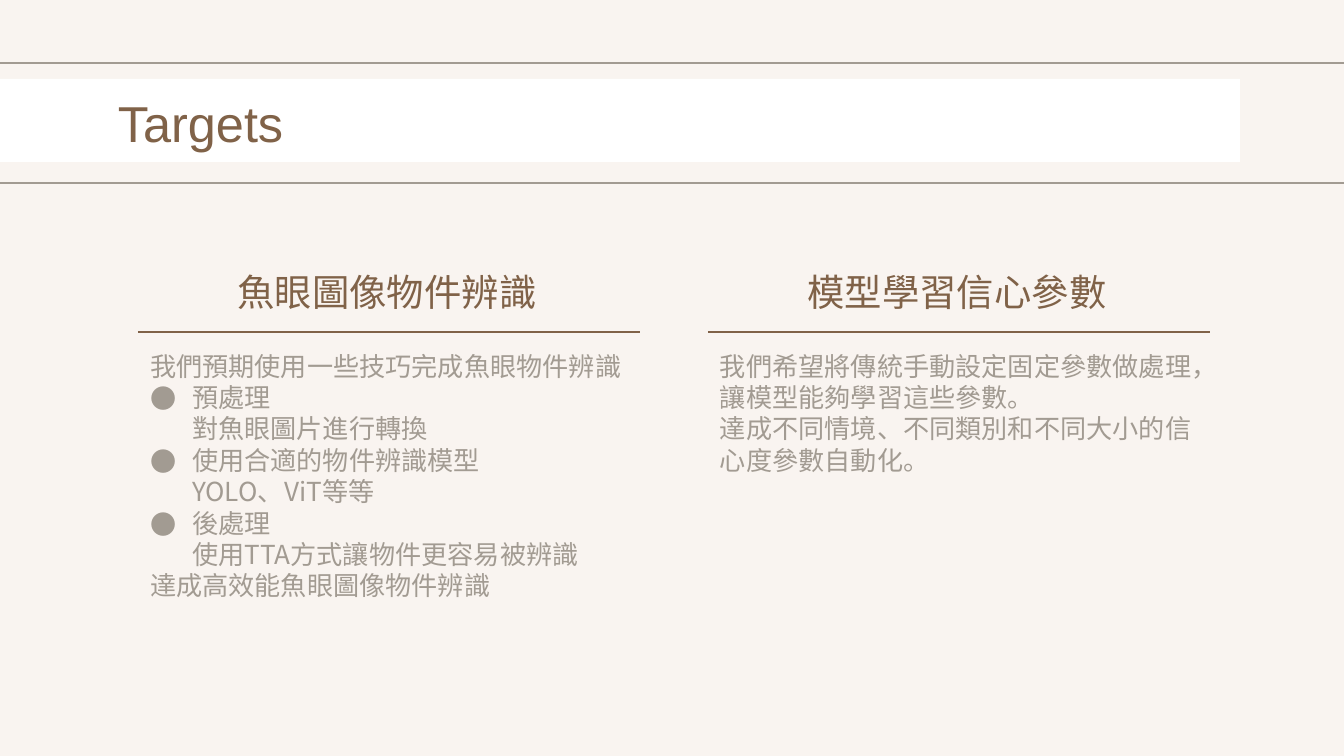
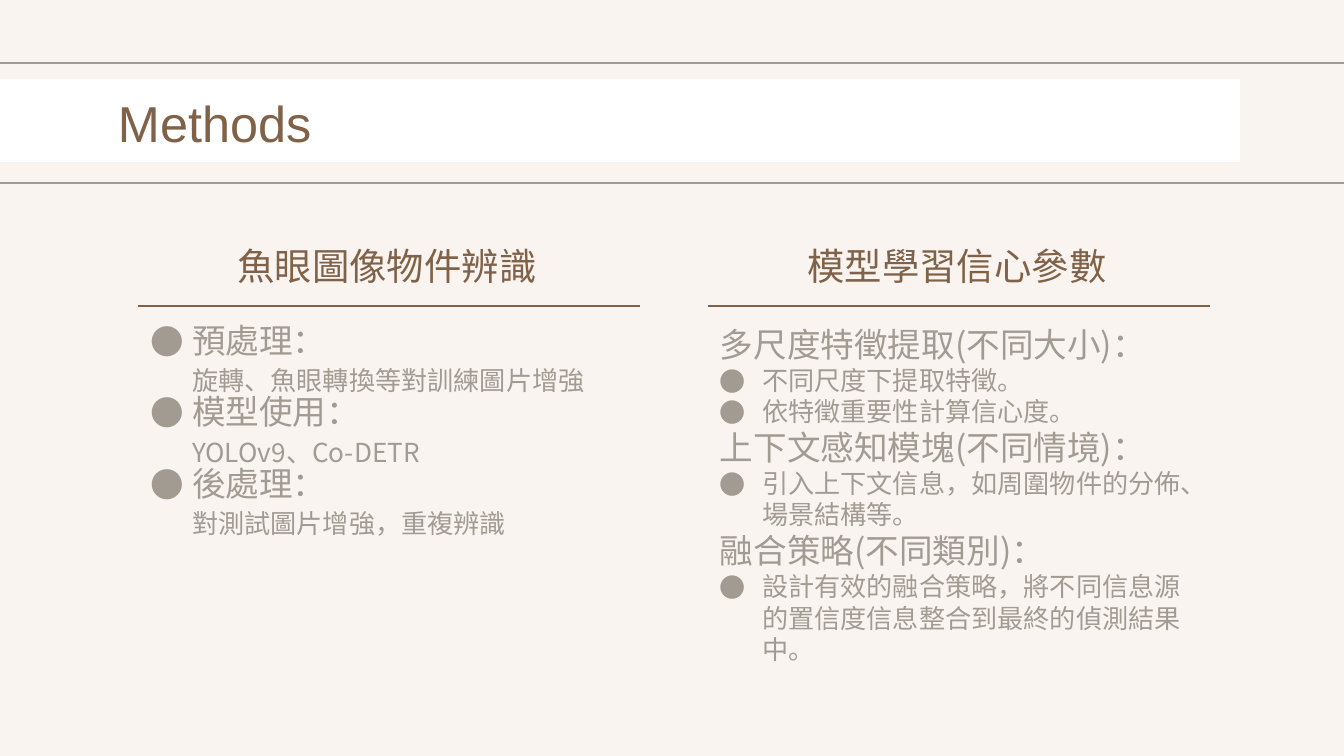
from lxml import etree
from pptx import Presentation
from pptx.dml.color import RGBColor
from pptx.enum.shapes import MSO_CONNECTOR, MSO_SHAPE
from pptx.enum.text import MSO_ANCHOR, MSO_AUTO_SIZE, PP_ALIGN
from pptx.oxml.ns import qn
from pptx.util import Pt

RECTANGLE = MSO_SHAPE.RECTANGLE
STRAIGHT = MSO_CONNECTOR.STRAIGHT
LEFT, CENTER = PP_ALIGN.LEFT, PP_ALIGN.CENTER
TOP, MIDDLE = MSO_ANCHOR.TOP, MSO_ANCHOR.MIDDLE
NO_AUTOFIT = MSO_AUTO_SIZE.NONE

CREAM = RGBColor(0xF9, 0xF4, 0xF0)
WHITE = RGBColor(0xFF, 0xFF, 0xFF)
BROWN = RGBColor(0x80, 0x62, 0x48)
GRAY = RGBColor(0xA2, 0x9B, 0x92)

TITLE_FONT = "Arial"
TEXT_FONT = "Noto Sans CJK TC"
LARGE, SMALL = 18, 14
LINE_FACTOR = 1.2

EMU_PER_PX = 914400 / 134.4
COMPARISON_LAYOUT = 4
COLUMN_LEFTS = (137, 707)
COLUMN_WIDTH = 500
INSET = 13
BULLET_INDENT = 42

HEADINGS = ("魚眼圖像物件辨識", "模型學習信心參數")

# Each paragraph: text, whether it has a bullet, size of each of its lines
TARGETS = (
    [
        ("我們預期使用一些技巧完成魚眼物件辨識", False, [SMALL]),
        ("預處理\n對魚眼圖片進行轉換", True, [SMALL, SMALL]),
        ("使用合適的物件辨識模型\nYOLO、ViT等等", True, [SMALL, SMALL]),
        ("後處理\n使用TTA方式讓物件更容易被辨識", True, [SMALL, SMALL]),
        ("達成高效能魚眼圖像物件辨識", False, [SMALL]),
    ],
    [
        ("我們希望將傳統手動設定固定參數做處理，讓模型能夠學習這些參數。", False, [SMALL]),
        ("達成不同情境、不同類別和不同大小的信心度參數自動化。", False, [SMALL]),
    ],
)
METHODS = (
    [
        ("預處理：\n旋轉、魚眼轉換等對訓練圖片增強", True, [LARGE, SMALL]),
        ("模型使用：\nYOLOv9、Co-DETR", True, [LARGE, SMALL]),
        ("後處理：\n對測試圖片增強，重複辨識", True, [LARGE, SMALL]),
    ],
    [
        ("多尺度特徵提取(不同大小)：", False, [LARGE]),
        ("不同尺度下提取特徵。", True, [SMALL]),
        ("依特徵重要性計算信心度。", True, [SMALL]),
        ("上下文感知模塊(不同情境)：", False, [LARGE]),
        ("引入上下文信息，如周圍物件的分佈、場景結構等。", True, [SMALL]),
        ("融合策略(不同類別)：", False, [LARGE]),
        ("設計有效的融合策略，將不同信息源的置信度信息整合到最終的偵測結果中。", True, [SMALL]),
    ],
)


def px(length):
    return round(length * EMU_PER_PX)


def place(shape, left, top, width, height, anchor):
    """Move a text placeholder and give it the common margins."""
    shape.left, shape.top = px(left), px(top)
    shape.width, shape.height = px(width), px(height)
    frame = shape.text_frame
    frame.word_wrap = True
    frame.auto_size = NO_AUTOFIT
    frame.vertical_anchor = anchor
    frame.margin_left = frame.margin_right = px(INSET)
    frame.margin_top = frame.margin_bottom = px(INSET)
    return frame


def format_run(run, size, color, font_name):
    font = run.font
    font.size = Pt(size)
    font.bold = False
    font.color.rgb = color
    font.name = font_name
    etree.SubElement(run._r.get_or_add_rPr(), qn("a:ea"), typeface=font_name)


def set_bullet(paragraph, bulleted):
    properties = paragraph._p.get_or_add_pPr()
    indent = px(BULLET_INDENT) if bulleted else 0
    properties.set("marL", str(indent))
    properties.set("indent", str(-indent))
    if bulleted:
        color = etree.SubElement(properties, qn("a:buClr"))
        etree.SubElement(color, qn("a:srgbClr"), val=str(GRAY))
        etree.SubElement(properties, qn("a:buFont"), typeface=TEXT_FONT)
        etree.SubElement(properties, qn("a:buChar"), char="●")
    else:
        etree.SubElement(properties, qn("a:buNone"))


def add_band(slide, left, top, width, height, fill=None, line=None):
    """Draw a rectangle behind the placeholders."""
    shape = slide.shapes.add_shape(RECTANGLE, px(left), px(top), px(width), px(height))
    shape.shadow.inherit = False
    if fill is None:
        shape.fill.background()
    else:
        shape.fill.solid()
        shape.fill.fore_color.rgb = fill
    if line is None:
        shape.line.fill.background()
    else:
        shape.line.color.rgb = line
        shape.line.width = Pt(0.75)
    slide.shapes._spTree.insert(2, shape._element)


def add_rule(slide, left, y, width):
    rule = slide.shapes.add_connector(STRAIGHT, px(left), px(y), px(left + width), px(y))
    rule.line.color.rgb = BROWN
    rule.line.width = Pt(0.75)
    etree.SubElement(rule._element.spPr, qn("a:effectLst"))


def fill_title(slide, text):
    frame = place(slide.shapes.title, 105, 79, 1134, 83, TOP)
    frame.text = text
    paragraph = frame.paragraphs[0]
    paragraph.alignment = LEFT
    format_run(paragraph.runs[0], 27, BROWN, TITLE_FONT)


def fill_heading(shape, text, left, top):
    frame = place(shape, left, top, COLUMN_WIDTH, 78, MIDDLE)
    frame.text = text
    paragraph = frame.paragraphs[0]
    paragraph.alignment = CENTER
    paragraph.space_before = Pt(0)
    set_bullet(paragraph, False)
    format_run(paragraph.runs[0], 20, BROWN, TEXT_FONT)


def fill_body(shape, items, left, top):
    frame = place(shape, left, top, COLUMN_WIDTH, 276, TOP)
    for index, (text, bulleted, sizes) in enumerate(items):
        paragraph = frame.add_paragraph() if index else frame.paragraphs[0]
        paragraph.text = text
        paragraph.alignment = LEFT
        paragraph.space_before = Pt(0)
        paragraph.line_spacing = Pt(LINE_FACTOR * sum(sizes) / len(sizes))
        set_bullet(paragraph, bulleted)
        for run, size in zip(paragraph.runs, sizes):
            format_run(run, size, GRAY, TEXT_FONT)
        for line_break in paragraph._p.findall(qn("a:br")):
            etree.SubElement(line_break, qn("a:rPr"), sz=str(sizes[0] * 100))


def add_comparison_slide(presentation, title, columns, top):
    """Add a titled slide with two headed columns that start at top."""
    slide = presentation.slides.add_slide(presentation.slide_layouts[COMPARISON_LAYOUT])
    # Title bands, front one first since each goes to the back
    add_band(slide, -38, 63, 1600, 120, line=GRAY)
    add_band(slide, -5, 79, 1245, 83, fill=WHITE)
    fill_title(slide, title)

    # Columns: heading, rule, text
    placeholders = list(slide.placeholders)[1:]
    for index, (left, heading, items) in enumerate(zip(COLUMN_LEFTS, HEADINGS, columns)):
        heading_shape, body_shape = placeholders[2 * index:2 * index + 2]
        fill_heading(heading_shape, heading, left, top)
        add_rule(slide, left + 1, top + 79, COLUMN_WIDTH + 2)
        fill_body(body_shape, items, left, top + 84)


def main():
    presentation = Presentation()
    presentation.slide_width, presentation.slide_height = px(1344), px(756)
    background = presentation.slide_master.background.fill
    background.solid()
    background.fore_color.rgb = CREAM

    add_comparison_slide(presentation, "Targets", TARGETS, 253)
    add_comparison_slide(presentation, "Methods", METHODS, 227)
    presentation.save("out.pptx")


if __name__ == "__main__":
    main()
